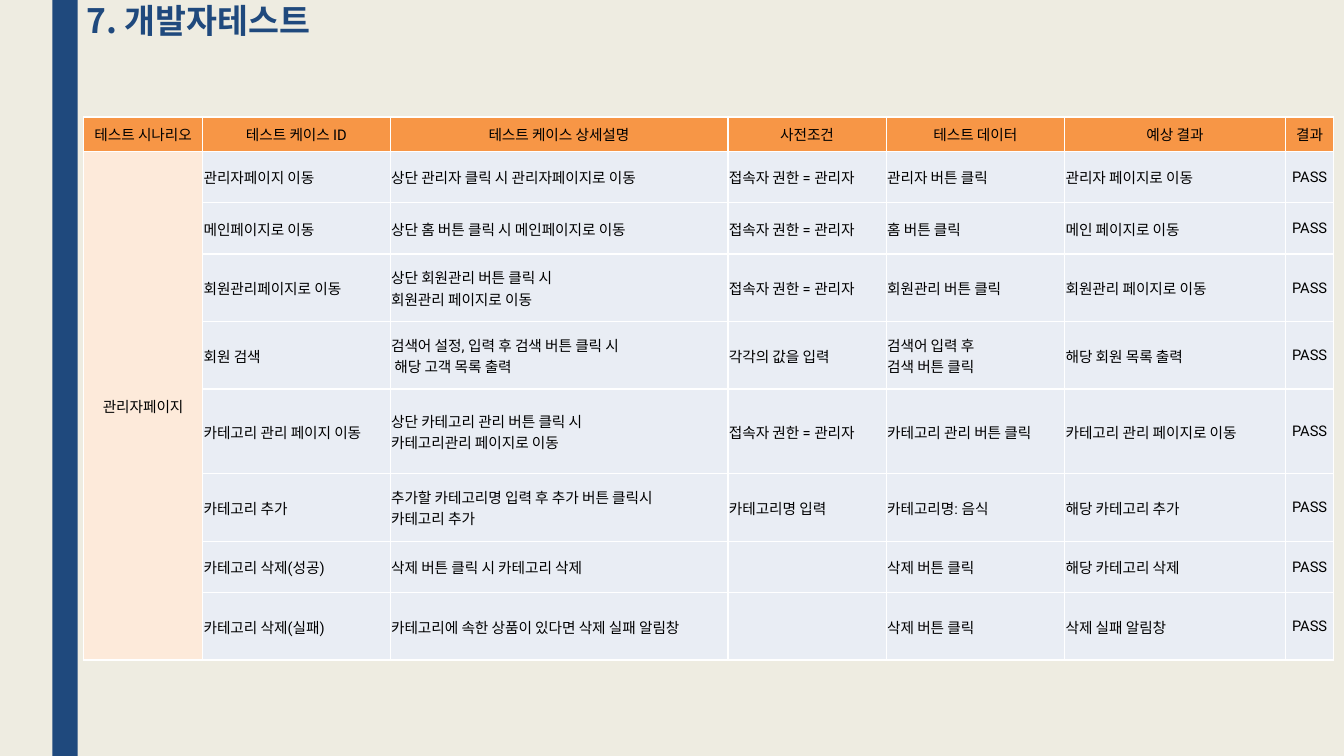
from lxml.etree import SubElement
from pptx import Presentation
from pptx.dml.color import RGBColor
from pptx.enum.shapes import MSO_SHAPE
from pptx.enum.text import MSO_ANCHOR, PP_ALIGN
from pptx.oxml.ns import qn
from pptx.util import Inches, Pt

BEIGE = RGBColor(0xEE, 0xEC, 0xE1)
NAVY = RGBColor(0x1F, 0x49, 0x7D)
ORANGE = RGBColor(0xF7, 0x96, 0x46)
PEACH = RGBColor(0xFD, 0xEA, 0xDA)
PALE_BLUE = RGBColor(0xE9, 0xED, 0xF4)
WHITE = RGBColor(0xFF, 0xFF, 0xFF)
BLACK = RGBColor(0, 0, 0)
KOREAN_FONT = "Noto Sans CJK KR"
LATIN_FONT = "Roboto"

ADMIN_ONLY = "접속자 권한 = 관리자"
HEADINGS = ["테스트 시나리오", "테스트 케이스 ID", "테스트 케이스 상세설명", "사전조건",
            "테스트 데이터", "예상 결과", "결과"]
SCENARIO = "관리자페이지"
# Case ID, description, precondition, test data, expected result
CASES = [
    ["관리자페이지 이동", "상단 관리자 클릭 시 관리자페이지로 이동", ADMIN_ONLY,
     "관리자 버튼 클릭", "관리자 페이지로 이동"],
    ["메인페이지로 이동", "상단 홈 버튼 클릭 시 메인페이지로 이동", ADMIN_ONLY,
     "홈 버튼 클릭", "메인 페이지로 이동"],
    ["회원관리페이지로 이동", "상단 회원관리 버튼 클릭 시\n회원관리 페이지로 이동", ADMIN_ONLY,
     "회원관리 버튼 클릭", "회원관리 페이지로 이동"],
    ["회원 검색", "검색어 설정, 입력 후 검색 버튼 클릭 시\n 해당 고객 목록 출력", "각각의 값을 입력",
     "검색어 입력 후\n검색 버튼 클릭", "해당 회원 목록 출력"],
    ["카테고리 관리 페이지 이동", "상단 카테고리 관리 버튼 클릭 시\n카테고리관리 페이지로 이동", ADMIN_ONLY,
     "카테고리 관리 버튼 클릭", "카테고리 관리 페이지로 이동"],
    ["카테고리 추가", "추가할 카테고리명 입력 후 추가 버튼 클릭시\n카테고리 추가", "카테고리명 입력",
     "카테고리명: 음식", "해당 카테고리 추가"],
    ["카테고리 삭제(성공)", "삭제 버튼 클릭 시 카테고리 삭제", "",
     "삭제 버튼 클릭", "해당 카테고리 삭제"],
    ["카테고리 삭제(실패)", "카테고리에 속한 상품이 있다면 삭제 실패 알림창", "",
     "삭제 버튼 클릭", "삭제 실패 알림창"],
]
COLUMN_WIDTHS = [1.18, 1.86, 3.35, 1.57, 1.77, 2.19, 0.48]
ROW_HEIGHTS = [0.34, 0.51, 0.51, 0.67, 0.67, 0.84, 0.67, 0.51, 0.67]


def add_run(paragraph, text, size, color, latin, bold=False):
    run = paragraph.add_run()
    run.text = text
    run.font.size = Pt(size)
    run.font.bold = bold
    run.font.color.rgb = color
    run.font.name = latin
    SubElement(run.font._element, qn("a:ea"), typeface=KOREAN_FONT)


def style_cell(cell, fill):
    properties = cell._tc.get_or_add_tcPr()
    for side in ("a:lnL", "a:lnR", "a:lnT", "a:lnB"):
        border = SubElement(properties, qn(side), w=str(Pt(1)))
        border_fill = SubElement(border, qn("a:solidFill"))
        SubElement(border_fill, qn("a:srgbClr"), val=str(WHITE))
    cell.fill.solid()
    cell.fill.fore_color.rgb = fill
    cell.vertical_anchor = MSO_ANCHOR.MIDDLE
    cell.margin_left = cell.margin_right = cell.margin_top = Inches(0.01)
    cell.margin_bottom = 0


presentation = Presentation()
presentation.slide_width = Inches(13.33)
presentation.slide_height = Inches(7.5)
slide = presentation.slides.add_slide(presentation.slide_layouts[6])
slide.background.fill.solid()
slide.background.fill.fore_color.rgb = BEIGE

# Side band
side_band = slide.shapes.add_shape(
    MSO_SHAPE.RECTANGLE, Inches(0.52), 0, Inches(0.25), Inches(7.5))
side_band.shadow.inherit = False
side_band.fill.solid()
side_band.fill.fore_color.rgb = NAVY
side_band.line.fill.background()

# Title
title = slide.shapes.add_textbox(Inches(0.76), 0, Inches(10.5), Inches(0.81)).text_frame
title.word_wrap = True
title.paragraphs[0].line_spacing = 0.89
add_run(title.paragraphs[0], "7. 개발자테스트", 24, NAVY, KOREAN_FONT, bold=True)

# Test case table
test_table = slide.shapes.add_table(
    len(ROW_HEIGHTS), len(COLUMN_WIDTHS), Inches(0.83), Inches(1.16),
    Inches(sum(COLUMN_WIDTHS)), Inches(sum(ROW_HEIGHTS))).table
test_table.horz_banding = False
for column, width in zip(test_table.columns, COLUMN_WIDTHS):
    column.width = Inches(width)
for row, height in zip(test_table.rows, ROW_HEIGHTS):
    row.height = Inches(height)

# The scenario spans all of its cases
test_table.cell(1, 0).merge(test_table.cell(len(CASES), 0))

contents = [HEADINGS]
for number, case in enumerate(CASES):
    contents.append([SCENARIO if number == 0 else "", *case, "PASS"])

last_column = len(HEADINGS) - 1
for row_index, texts in enumerate(contents):
    for column_index, text in enumerate(texts):
        cell = test_table.cell(row_index, column_index)
        if row_index == 0:
            fill = ORANGE
        elif column_index == 0:
            fill = PEACH
        else:
            fill = PALE_BLUE
        style_cell(cell, fill)
        if not text:
            continue
        centred = row_index == 0 or column_index in (0, last_column)
        for line_index, line in enumerate(text.split("\n")):
            frame = cell.text_frame
            paragraph = frame.add_paragraph() if line_index else frame.paragraphs[0]
            paragraph.alignment = PP_ALIGN.CENTER if centred else PP_ALIGN.LEFT
            add_run(paragraph, line, 10.5, BLACK, LATIN_FONT)

presentation.save("out.pptx")
